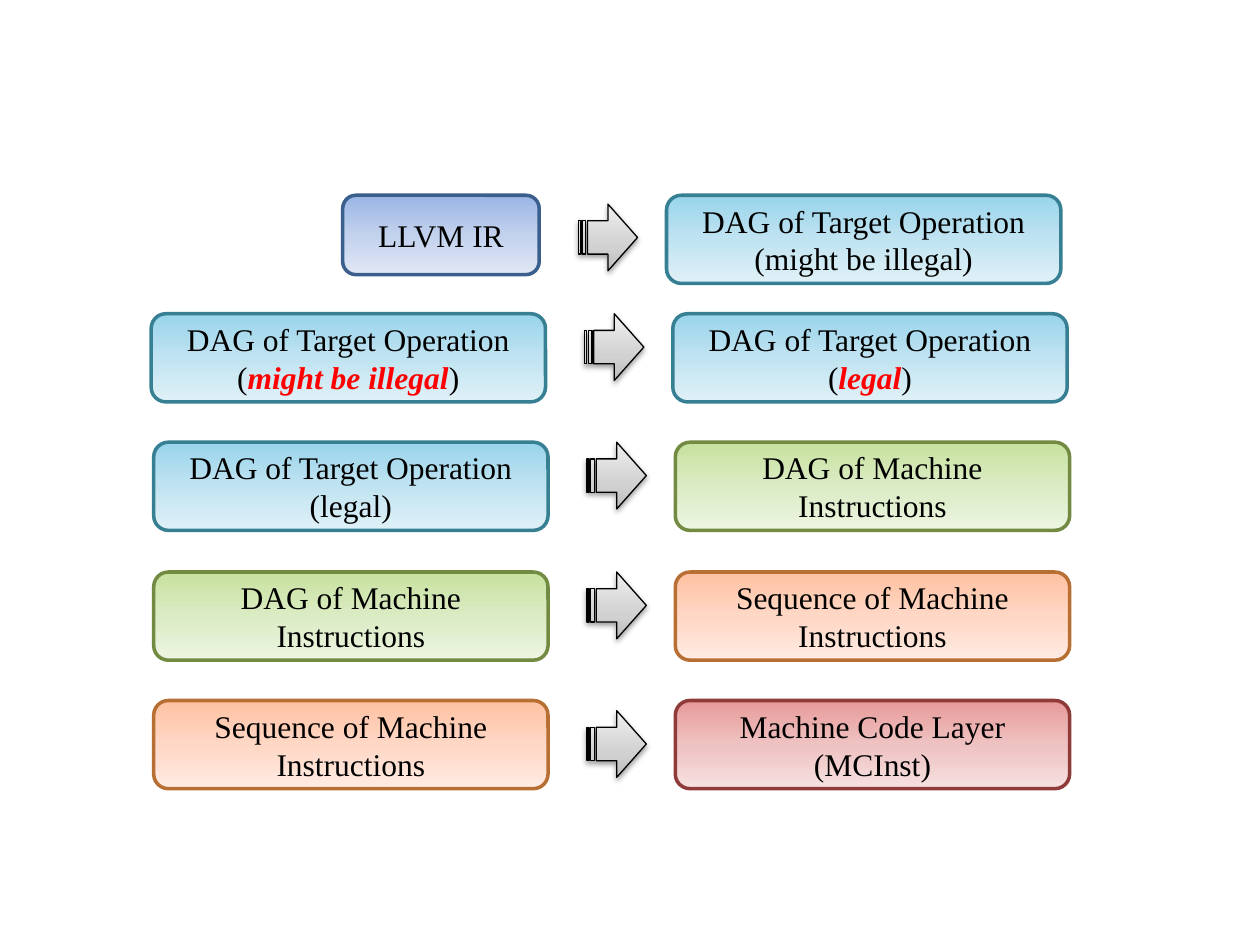
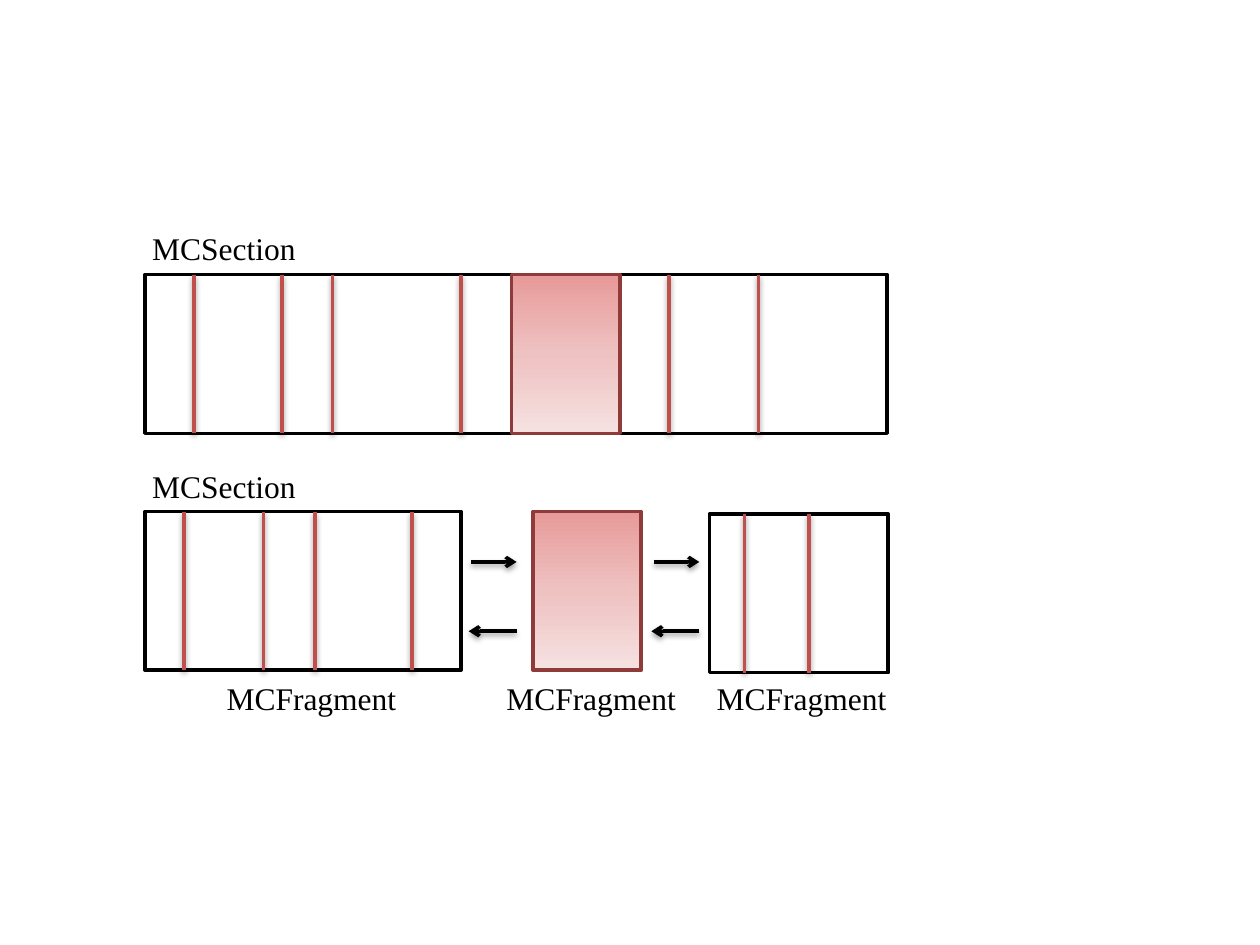
"""Build two slides on instruction lowering stages and MCSection fragments."""
import pptx
import pptx.dml.color
import pptx.enum.shapes
import pptx.enum.text
import pptx.oxml
import pptx.oxml.ns
import pptx.util

Inches = pptx.util.Inches
Shapes = pptx.enum.shapes.MSO_SHAPE
NAMESPACE = pptx.oxml.ns.nsdecls("a")
FONT = "Times New Roman"
BLACK, WHITE, RED, DIVIDER = "000000", "FFFFFF", "FF0000", "C0504D"

BLUE = (((0, "9AB5E4"), (50, "C2D1ED"), (100, "E1E8F5")), "3A5F8C")
TEAL = (((0, "98D4EB"), (50, "C0E3F1"), (100, "E0F1F7")), "377F92")
GREEN = (((0, "C7E29E"), (50, "DBEBC4"), (100, "EDF5E2")), "738A42")
ORANGE = (((0, "FFC1A1"), (50, "FFD7C5"), (100, "FFEBE3")), "B76F34")
ROSE = (((0, "E79A99"), (50, "EEC2C1"), (100, "F6E1E1")), "8E3B39")
GREY = (((0, "BDBDBD"), (35, "D1D1D1"), (100, "EEEEEE")), BLACK)
PLAIN = (WHITE, BLACK)


def rgb(value):
    return pptx.dml.color.RGBColor.from_string(value)


def write_text(frame, text, size=18, color=BLACK, align=None, emphasis=""):
    for index, line in enumerate(text.split("\n")):
        paragraph = frame.paragraphs[0] if index == 0 else frame.add_paragraph()
        paragraph.alignment = align
        parts = line.partition(emphasis) if emphasis else (line,)
        for part in filter(None, parts):
            stressed = part == emphasis
            run = paragraph.add_run()
            run.text = part
            run.font.name = FONT
            run.font.size = pptx.util.Pt(size)
            run.font.color.rgb = rgb(RED if stressed else color)
            run.font.bold = run.font.italic = stressed


class Canvas:
    def __init__(self):
        self.presentation = pptx.Presentation()
        self.presentation.slide_width = Inches(10)
        self.presentation.slide_height = Inches(7.5)
        self.slide = None

    def new_slide(self):
        self.slide = self.presentation.slides.add_slide(self.presentation.slide_layouts[6])

    def outline(self, element, color, width):
        element.line.color.rgb = rgb(color)
        element.line.width = pptx.util.Pt(width)

    def effects(self, element, shadow):
        outer = (
            '<a:outerShdw blurRad="40000" dist="20000" dir="5400000" rotWithShape="0">'
            f'<a:srgbClr val="{BLACK}"><a:alpha val="38000"/></a:srgbClr></a:outerShdw>'
        ) if shadow else ""
        element._element.spPr.append(
            pptx.oxml.parse_xml(f"<a:effectLst {NAMESPACE}>{outer}</a:effectLst>"))

    def gradient(self, shape, stops, angle):
        stop_xml = "".join(
            f'<a:gs pos="{position * 1000}"><a:srgbClr val="{color}"/></a:gs>'
            for position, color in stops)
        shape._element.spPr.append(pptx.oxml.parse_xml(
            f'<a:gradFill {NAMESPACE} rotWithShape="1"><a:gsLst>{stop_xml}</a:gsLst>'
            f'<a:lin ang="{angle * 60000}" scaled="0"/></a:gradFill>'))

    def box(self, kind, left, top, width, height, style, text="", emphasis="",
            angle=90, line_width=2, shadow=False):
        shape = self.slide.shapes.add_shape(
            kind, Inches(left), Inches(top), Inches(width), Inches(height))
        fill, line = style
        if isinstance(fill, str):
            shape.fill.solid()
            shape.fill.fore_color.rgb = rgb(fill)
        else:
            self.gradient(shape, fill, angle)
        self.outline(shape, line, line_width)
        self.effects(shape, shadow)
        if text:
            shape.text_frame.vertical_anchor = pptx.enum.text.MSO_ANCHOR.MIDDLE
            write_text(shape.text_frame, text, emphasis=emphasis,
                       align=pptx.enum.text.PP_ALIGN.CENTER)

    def label(self, text, left, top, width):
        frame = self.slide.shapes.add_textbox(
            Inches(left), Inches(top), Inches(width), Inches(0.4)).text_frame
        frame.word_wrap = False
        frame.auto_size = pptx.enum.text.MSO_AUTO_SIZE.SHAPE_TO_FIT_TEXT
        write_text(frame, text)

    def line(self, start, end, color, arrow=False):
        connector = self.slide.shapes.add_connector(
            pptx.enum.shapes.MSO_CONNECTOR.STRAIGHT,
            *(Inches(value) for value in (*start, *end)))
        self.outline(connector, color, 2)
        if arrow:
            connector.line._get_or_add_ln().append(
                pptx.oxml.parse_xml(f'<a:tailEnd {NAMESPACE} type="arrow"/>'))
        self.effects(connector, shadow=True)

    def dividers(self, positions, top, height):
        for x in positions:
            self.line((x, top), (x, top + height), DIVIDER)


def build_lowering_stages(canvas):
    canvas.new_slide()
    stage_width, stage_height = 3.13, 0.7
    ir = ("LLVM IR", BLUE)
    illegal = ("DAG of Target Operation\n(might be illegal)", TEAL)
    legal = ("DAG of Target Operation\n(legal)", TEAL)
    machine = ("DAG of Machine Instructions", GREEN)
    sequence = ("Sequence of Machine Instructions", ORANGE)
    code = ("Machine Code Layer\n(MCInst)", ROSE)
    rows = [
        (1.15, 1.55, 0.07, ir, illegal, ("", "")),
        (1.2, 2.49, 0, illegal, legal, ("might be illegal", "legal")),
        (1.22, 3.51, 0, legal, machine, ("", "")),
        (1.22, 4.54, 0, machine, sequence, ("", "")),
        (1.22, 5.56, 0.08, sequence, code, ("", "")),
    ]
    for left, top, arrow_drop, source, target, emphases in rows:
        width, height = (1.56, 0.63) if source is ir else (stage_width, stage_height)
        source_left = left + stage_width - width
        for stage, x, w, h, emphasis in (
                (source, source_left, width, height, emphases[0]),
                (target, left + 4.14, stage_width, stage_height, emphases[1])):
            text, style = stage
            canvas.box(Shapes.ROUNDED_RECTANGLE, x, top, w, h, style, text, emphasis)
        canvas.box(Shapes.STRIPED_RIGHT_ARROW, left + 3.44, top + arrow_drop, 0.47, 0.53,
                   GREY, angle=270, line_width=0.75, shadow=True)


def build_section_fragments(canvas):
    canvas.new_slide()
    left, height, fragment_width = 1.15, 1.26, 0.86
    whole_top, split_top, last_top = 2.18, 4.06, 4.08

    canvas.box(Shapes.RECTANGLE, left, whole_top, 5.89, height, PLAIN)
    canvas.box(Shapes.RECTANGLE, 4.06, whole_top, fragment_width, height, ROSE)
    canvas.dividers((1.54, 2.24, 2.64, 3.66, 5.31, 6.02), whole_top, height)

    canvas.box(Shapes.RECTANGLE, left, split_top, 2.51, height, PLAIN)
    canvas.dividers((1.46, 2.09, 2.5, 3.27), split_top, height)
    canvas.box(Shapes.RECTANGLE, 4.23, split_top, fragment_width, height, ROSE)
    canvas.box(Shapes.RECTANGLE, 5.63, last_top, 1.42, height, PLAIN)
    canvas.dividers((5.91, 6.42), last_top, height)

    for gap_left in (3.74, 5.19):
        gap_right = gap_left + 0.36
        canvas.line((gap_left, 4.46), (gap_right, 4.46), BLACK, arrow=True)
        canvas.line((gap_right, 5.01), (gap_left - 0.02, 5.01), BLACK, arrow=True)

    for top in (1.77, 3.66):
        canvas.label("MCSection", 1.11, top, 1.35)
    for x in (1.7, 3.92, 5.59):
        canvas.label("MCFragment", x, 5.34, 1.56)


def main():
    canvas = Canvas()
    build_lowering_stages(canvas)
    build_section_fragments(canvas)
    canvas.presentation.save("out.pptx")


if __name__ == "__main__":
    main()
